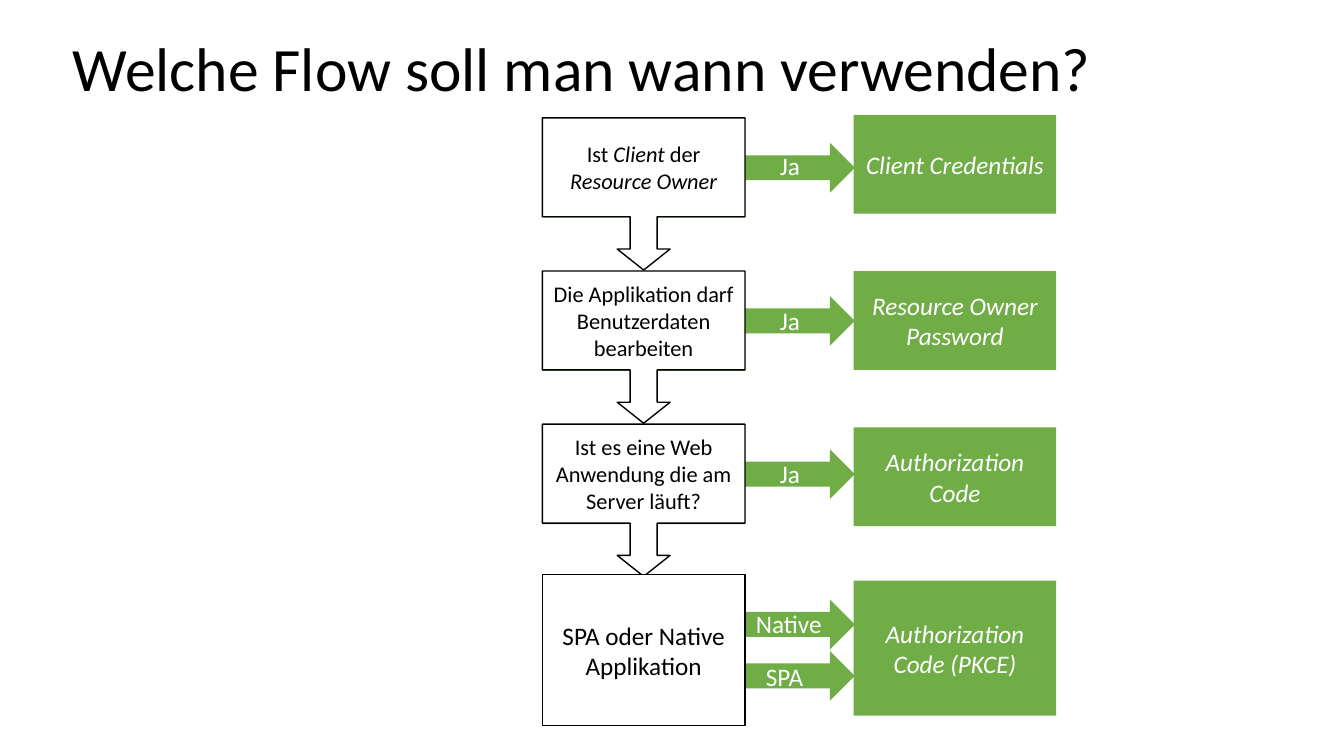
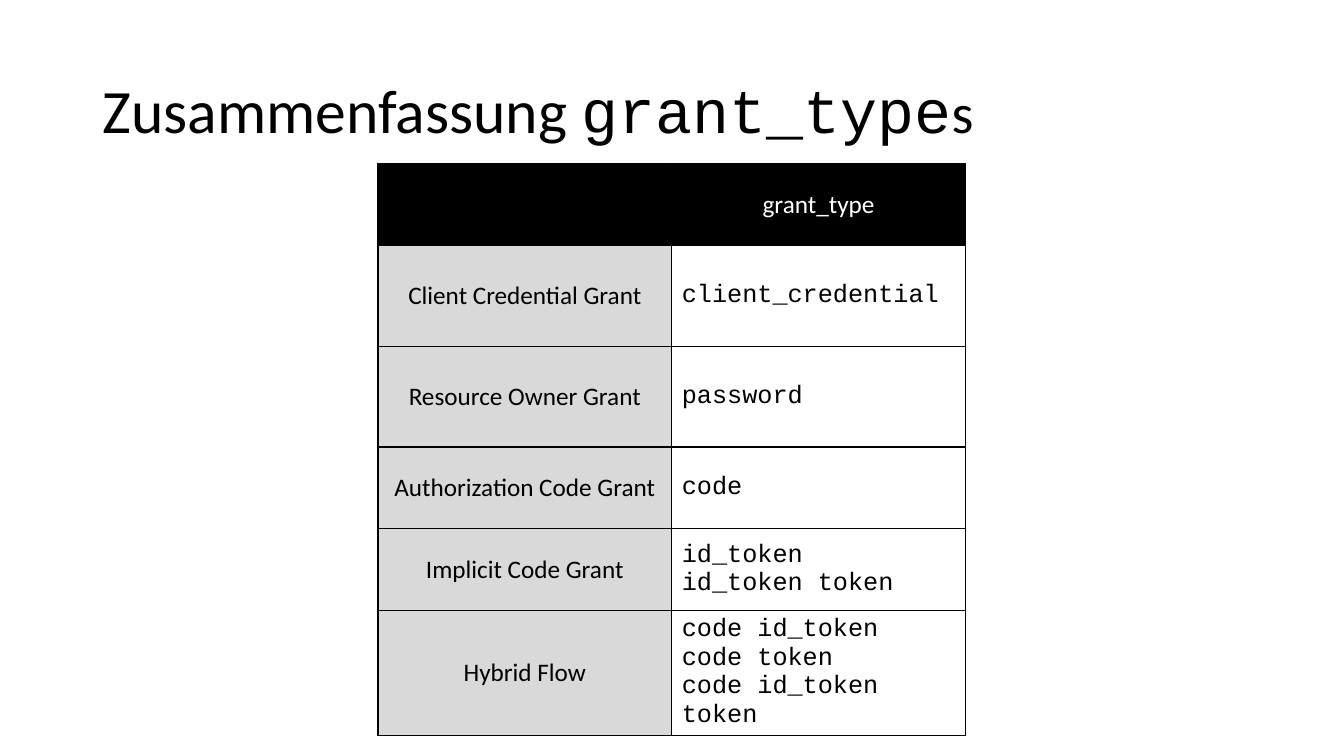
from dataclasses import dataclass
from typing import NamedTuple

from lxml.etree import SubElement
from pptx import Presentation
from pptx.dml.color import RGBColor
from pptx.enum.shapes import MSO_SHAPE
from pptx.enum.text import MSO_ANCHOR, MSO_AUTO_SIZE, PP_ALIGN
from pptx.oxml import parse_xml
from pptx.oxml.ns import nsdecls, qn
from pptx.util import Pt


# Theme: colours, fonts and type sizes
@dataclass(frozen=True)
class Theme:
    ink: str = "000000"
    paper: str = "FFFFFF"
    green: str = "70AD47"
    grey: str = "D9D9D9"
    sans: str = "Calibri"
    mono: str = "Courier New"
    head: int = 44
    small_head: int = 40
    text: int = 18
    small: int = 16
    line: int = 1


THEME = Theme()


class Run(NamedTuple):
    text: str
    size: int = THEME.text
    color: str = THEME.ink
    font: str = THEME.sans
    slant: bool = False


class Box(NamedTuple):
    left: float
    top: float
    width: float
    height: float


class Label(NamedTuple):
    text: str
    left: float
    top: float
    width: float


@dataclass(frozen=True)
class Step:
    ask: list[Run]
    box: Box
    chip: str
    chip_box: Box
    labels: list[Label]
    last: bool = False


class Row(NamedTuple):
    name: str
    codes: list[str]
    height: float


# Shared helpers
def points(box: Box) -> list[Pt]:
    return [Pt(side) for side in box]


def write(para, runs: list[Run], align=PP_ALIGN.LEFT) -> None:
    para.alignment = align
    for item in runs:
        run = para.add_run()
        run.text = item.text
        font = run.font
        font.name, font.size = item.font, Pt(item.size)
        font.bold, font.italic = False, item.slant
        font.color.rgb = RGBColor.from_string(item.color)


def add_slide(deck, runs: list[Run], box: Box):
    slide = deck.slides.add_slide(deck.slide_layouts[5])
    title = slide.shapes.title
    title.left, title.top, title.width, title.height = points(box)
    frame = title.text_frame
    frame.auto_size = MSO_AUTO_SIZE.NONE
    frame.word_wrap = True
    frame.vertical_anchor = MSO_ANCHOR.MIDDLE
    frame.paragraphs[0].line_spacing = 0.9
    write(frame.paragraphs[0], runs)
    return slide


def add_block(slide, kind, box: Box, fill: str, runs: list[Run], edge: bool = False):
    block = slide.shapes.add_shape(kind, *points(box))
    block.shadow.inherit = False
    block.fill.solid()
    block.fill.fore_color.rgb = RGBColor.from_string(fill)
    if edge:
        block.line.color.rgb = RGBColor.from_string(THEME.ink)
        block.line.width = Pt(THEME.line)
    else:
        block.line.fill.background()
    if runs:
        block.text_frame.vertical_anchor = MSO_ANCHOR.MIDDLE
        write(block.text_frame.paragraphs[0], runs, PP_ALIGN.CENTER)
    return block


def add_label(slide, label: Label) -> None:
    box = Box(label.left, label.top, label.width, 29)
    frame = slide.shapes.add_textbox(*points(box)).text_frame
    frame.word_wrap = False
    frame.auto_size = MSO_AUTO_SIZE.SHAPE_TO_FIT_TEXT
    write(frame.paragraphs[0], [Run(label.text, color=THEME.paper)])


# Slide 1: decision flow
ASK_X, CHIP_X, WIDE = 387.4, 609.8, 144.7
ASK_Y, ASK_GAP, ASK_TALL = 84.2, 109.4, 108.7
CHIP_Y, CHIP_GAP, CHIP_TALL = 82.1, 111.6, 70.6
ARROW_WIDE, ARROW_TALL, ARROW_GAP = 223.2, 71.3, 36.7
LAST_Y = 410.4


def plain(text: str, slant: bool = False) -> Run:
    return Run(text, THEME.small, slant=slant)


ASKS = [
    ([plain("Ist "), plain("Client ", True), plain("der "),
      plain("Resource Owner", True)], "Client Credentials"),
    ([plain("Die Applikation darf Benutzerdaten bearbeiten")],
     "Resource Owner Password"),
    ([plain("Ist es eine Web Anwendung die am Server läuft?")],
     "Authorization Code"),
]


def list_steps() -> list[Step]:
    steps = []
    for i, (ask, chip) in enumerate(ASKS):
        top = ASK_Y + i * ASK_GAP
        steps.append(Step(
            ask, Box(ASK_X, top, WIDE, ASK_TALL),
            chip, Box(CHIP_X, CHIP_Y + i * CHIP_GAP, WIDE, CHIP_TALL),
            [Label("Ja", 550, top + (20.9 if i else 19.5), 28.8)]))
    steps.append(Step(
        [Run("SPA oder Native Applikation")], Box(ASK_X, LAST_Y, WIDE, 108),
        "Authorization Code (PKCE)", Box(CHIP_X, 414.7, WIDE, 96.5),
        [Label("Native", 532.8, 431.3, 61.9), Label("SPA", 540, 468.7, 41)],
        last=True))
    return steps


def draw_step(slide, step: Step) -> None:
    add_block(slide, MSO_SHAPE.RECTANGLE, step.chip_box, THEME.green,
              [Run(step.chip, color=THEME.paper, slant=True)])
    for i in range(len(step.labels)):
        arrow = Box(ASK_X, step.box.top + i * ARROW_GAP, ARROW_WIDE, ARROW_TALL)
        add_block(slide, MSO_SHAPE.RIGHT_ARROW_CALLOUT, arrow, THEME.green, [])
    kind = MSO_SHAPE.RECTANGLE if step.last else MSO_SHAPE.DOWN_ARROW_CALLOUT
    block = add_block(slide, kind, step.box, THEME.paper, step.ask, edge=True)
    if not step.last:
        for i, value in enumerate((0.178, 0.174, 0.138, 0.65)):
            block.adjustments[i] = value
    for label in step.labels:
        add_label(slide, label)


def draw_flow(deck) -> None:
    title = [Run("Welche Flow soll man wann verwenden?", THEME.head)]
    slide = add_slide(deck, title, Box(44.6, -1.4, 815.8, 104.4))
    for step in list_steps():
        draw_step(slide, step)


# Slide 2: table of grant types
SHORT, TALL = 58.5, 72
ROWS = [
    Row("Client Credential Grant", ["client_credential"], TALL),
    Row("Resource Owner Grant", ["password"], TALL),
    Row("Authorization Code Grant", ["code"], SHORT),
    Row("Implicit Code Grant", ["id_token", "id_token token"], SHORT),
    Row("Hybrid Flow", ["code id_token", "code token", "code id_token token"], SHORT),
]


def set_edge(cell) -> None:
    props = cell._tc.get_or_add_tcPr()
    for i, side in enumerate("LRTB"):
        line = parse_xml(f'<a:ln{side} {nsdecls("a")} w="{Pt(THEME.line)}"/>')
        fill = SubElement(line, qn("a:solidFill"))
        SubElement(fill, qn("a:srgbClr")).set("val", THEME.ink)
        props.insert(i, line)


def fill_cell(cell, fill: str, lines: list[Run], align) -> None:
    cell.fill.solid()
    cell.fill.fore_color.rgb = RGBColor.from_string(fill)
    cell.vertical_anchor = MSO_ANCHOR.MIDDLE
    set_edge(cell)
    frame = cell.text_frame
    for i, run in enumerate(lines):
        para = frame.add_paragraph() if i else frame.paragraphs[0]
        write(para, [run], align)


def draw_grants(deck) -> None:
    title = [Run("Zusammenfassung ", THEME.head),
             Run("grant_type", THEME.head, font=THEME.mono),
             Run("s", THEME.small_head)]
    slide = add_slide(deck, title, Box(66, 28.8, 828, 104.4))
    highs = [SHORT] + [row.height for row in ROWS]
    box = Box(270, 116.8, 419.6, sum(highs))
    table = slide.shapes.add_table(len(highs), 2, *points(box)).table
    table.first_row = table.horz_banding = False
    for line, high in zip(table.rows, highs):
        line.height = Pt(high)
    mid = PP_ALIGN.CENTER
    fill_cell(table.cell(0, 0), THEME.ink, [], mid)
    fill_cell(table.cell(0, 1), THEME.ink, [Run("grant_type", color=THEME.paper)], mid)
    for i, row in enumerate(ROWS, 1):
        fill_cell(table.cell(i, 0), THEME.grey, [Run(row.name)], mid)
        codes = [Run(code, font=THEME.mono) for code in row.codes]
        fill_cell(table.cell(i, 1), THEME.paper, codes, PP_ALIGN.LEFT)


def main() -> None:
    deck = Presentation()
    deck.slide_width, deck.slide_height = Pt(960), Pt(540)
    draw_flow(deck)
    draw_grants(deck)
    deck.save("out.pptx")


if __name__ == "__main__":
    main()
